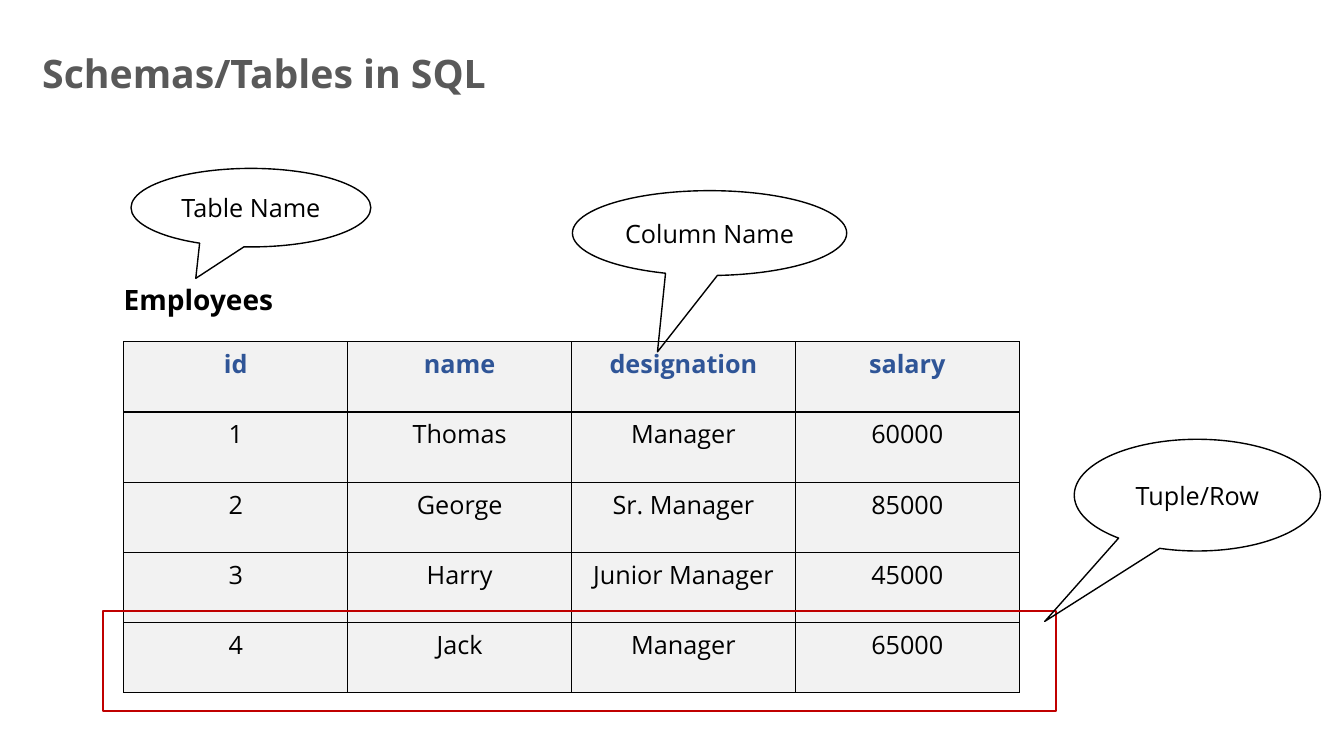
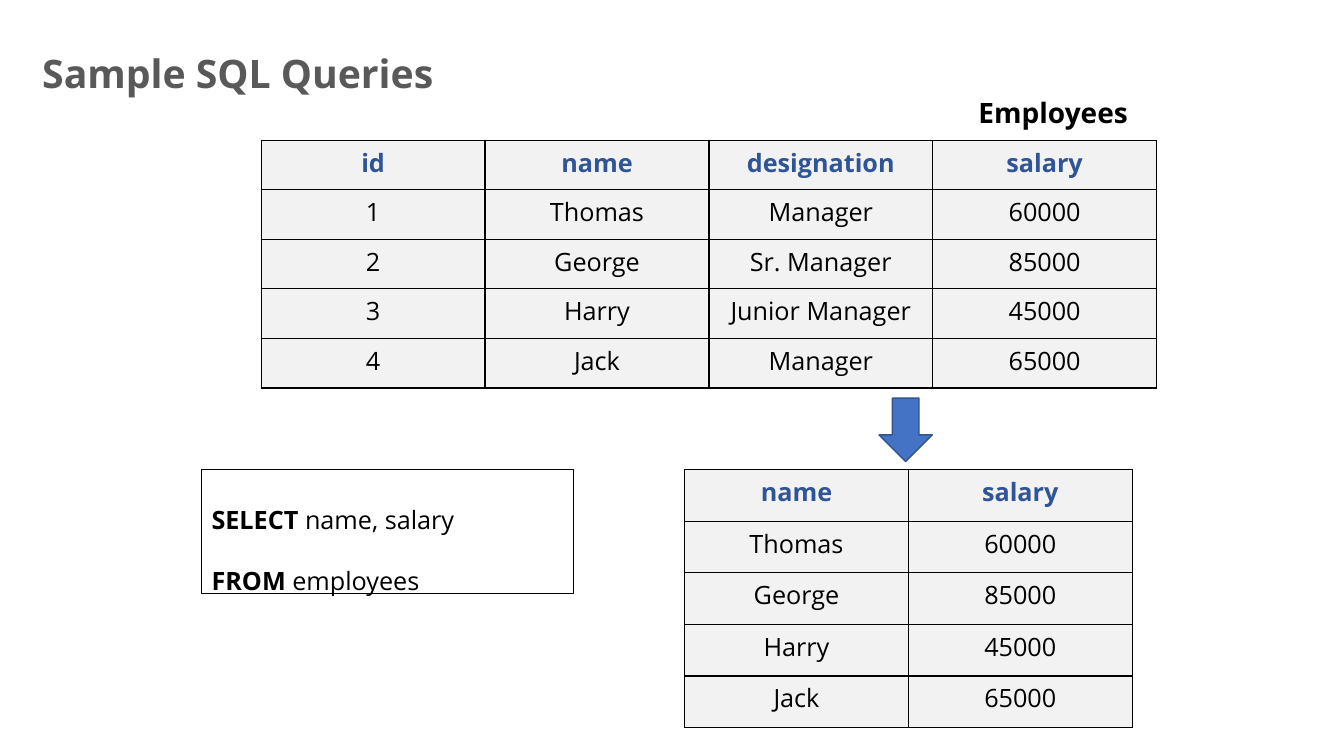
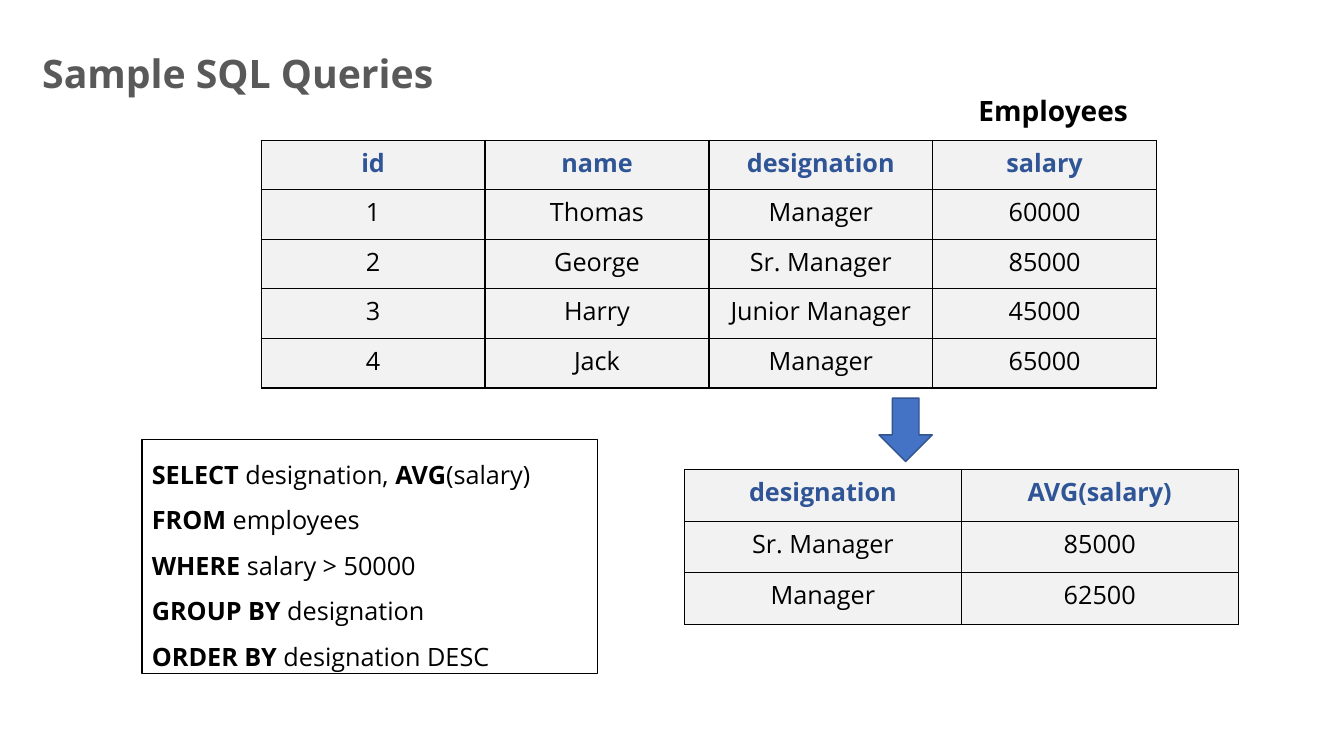
import dataclasses

import lxml.etree
import pptx
import pptx.dml.color
import pptx.enum.shapes
import pptx.enum.text
import pptx.oxml.ns
import pptx.util

SLIDE_WIDTH = pptx.util.Inches(13.333)
SLIDE_HEIGHT = pptx.util.Inches(7.5)
GRID_COLUMNS = 32
GRID_ROWS = 18
FONT = "Open Sans"
COLORS = {
    "title": "595959",
    "text": "000000",
    "header": "2F5597",
    "cell": "F2F2F2",
    "line": "000000",
    "highlight": "C00000",
    "arrow": "4472C4",
    "arrow_line": "325491",
}
EMPLOYEES = [
    ["id", "name", "designation", "salary"],
    ["1", "Thomas", "Manager", "60000"],
    ["2", "George", "Sr. Manager", "85000"],
    ["3", "Harry", "Junior Manager", "45000"],
    ["4", "Jack", "Manager", "65000"],
]
NAMES_AND_SALARIES = [[row[1], row[3]] for row in EMPLOYEES]
AVERAGE_SALARIES = [
    ["designation", "AVG(salary)"],
    ["Sr. Manager", "85000"],
    ["Manager", "62500"],
]
SELECT_QUERY = [
    ["SELECT", " name, salary"],
    ["FROM", " employees"],
]
GROUP_QUERY = [
    ["SELECT", " designation, ", "AVG", "(salary)"],
    ["FROM", " employees"],
    ["WHERE", " salary > 50000"],
    ["GROUP BY ", "designation"],
    ["ORDER BY ", "designation DESC"],
]
CENTER = pptx.enum.text.PP_ALIGN.CENTER
TOP = pptx.enum.text.MSO_ANCHOR.TOP
MIDDLE = pptx.enum.text.MSO_ANCHOR.MIDDLE
GROW = pptx.enum.text.MSO_AUTO_SIZE.SHAPE_TO_FIT_TEXT
SHAPES = pptx.enum.shapes.MSO_SHAPE


@dataclasses.dataclass
class Box:
    left: float
    top: float
    width: float
    height: float

    def lengths(self):
        column = SLIDE_WIDTH / GRID_COLUMNS
        row = SLIDE_HEIGHT / GRID_ROWS
        return (
            round(self.left * column),
            round(self.top * row),
            round(self.width * column),
            round(self.height * row),
        )


def color(name):
    return pptx.dml.color.RGBColor.from_string(COLORS[name])


def style_font(paragraph, size, color_name="text", bold=None):
    paragraph.font.name = FONT
    paragraph.font.size = pptx.util.Pt(size)
    paragraph.font.color.rgb = color(color_name)
    paragraph.font.bold = bold


def add_text(slide, box, text, size, color_name="text"):
    frame = slide.shapes.add_textbox(*box.lengths()).text_frame
    frame.word_wrap = True
    paragraph = frame.paragraphs[0]
    paragraph.text = text
    style_font(paragraph, size, color_name, True)
    return frame


def add_title(slide, text):
    frame = add_text(slide, Box(0.77, 0.94, 25.7, 1.73), text, 28, "title")
    frame.vertical_anchor = MIDDLE
    frame.paragraphs[0].line_spacing = 0.9
    frame.paragraphs[0].space_after = pptx.util.Pt(6)


def add_outline(slide, kind, box, line="line", width=1, fill=None):
    shape = slide.shapes.add_shape(kind, *box.lengths())
    shape.shadow.inherit = False
    shape.line.color.rgb = color(line)
    shape.line.width = pptx.util.Pt(width)
    if fill:
        shape.fill.solid()
        shape.fill.fore_color.rgb = color(fill)
    else:
        shape.fill.background()
    return shape


def add_callout(slide, box, text, tip):
    shape = add_outline(slide, SHAPES.OVAL_CALLOUT, box)
    for index, share in enumerate(tip):
        shape.adjustments[index] = share
    shape.text_frame.vertical_anchor = MIDDLE
    paragraph = shape.text_frame.paragraphs[0]
    paragraph.text = text
    paragraph.alignment = CENTER
    style_font(paragraph, 18)


def add_borders(cell):
    properties = cell._tc.get_or_add_tcPr()
    qualified = pptx.oxml.ns.qn
    for side in ("lnL", "lnR", "lnT", "lnB"):
        line = lxml.etree.SubElement(
            properties, qualified("a:" + side), w=str(pptx.util.Pt(1))
        )
        fill = lxml.etree.SubElement(line, qualified("a:solidFill"))
        lxml.etree.SubElement(fill, qualified("a:srgbClr"), val=COLORS["line"])


def add_grid(slide, left, top, column_width, row_height, rows):
    box = Box(left, top, column_width * len(rows[0]), row_height * len(rows))
    table = slide.shapes.add_table(len(rows), len(rows[0]), *box.lengths()).table
    table.horz_banding = False
    for row_index, row in enumerate(rows):
        header = row_index == 0
        for column_index, value in enumerate(row):
            cell = table.cell(row_index, column_index)
            add_borders(cell)
            cell.fill.solid()
            cell.fill.fore_color.rgb = color("cell")
            paragraph = cell.text_frame.paragraphs[0]
            paragraph.text = value
            paragraph.alignment = CENTER
            style_font(paragraph, 18, "header" if header else "text", header)


def add_query(slide, box, lines, spacing):
    frame = add_outline(slide, SHAPES.RECTANGLE, box).text_frame
    frame.word_wrap = True
    frame.auto_size = GROW
    frame.vertical_anchor = TOP
    for index, parts in enumerate(lines):
        paragraph = frame.add_paragraph() if index else frame.paragraphs[0]
        paragraph.alignment = pptx.enum.text.PP_ALIGN.LEFT
        paragraph.line_spacing = spacing
        style_font(paragraph, 18)
        for position, part in enumerate(parts):
            run = paragraph.add_run()
            run.text = part
            run.font.bold = position % 2 == 0


def add_slide(presentation, title):
    slide = presentation.slides.add_slide(presentation.slide_layouts[6])
    add_title(slide, title)
    return slide


def add_schema_slide(presentation):
    slide = add_slide(presentation, "Schemas/Tables in SQL")
    add_grid(slide, 2.95, 8.14, 5.33, 1.67, EMPLOYEES)
    add_text(slide, Box(2.71, 6.6, 9.29, 1.05), "Employees", 20)
    add_callout(slide, Box(3.12, 4.01, 5.71, 1.87), "Table Name", (-0.23, 0.9))
    add_callout(slide, Box(13.63, 4.54, 6.53, 2.02), "Column Name", (-0.19, 1.4))
    add_outline(
        slide, SHAPES.RECTANGLE, Box(2.45, 14.54, 22.7, 2.38), "highlight", 1.5
    )
    add_callout(slide, Box(25.58, 10.46, 5.86, 2.66), "Tuple/Row", (-0.62, 1.13))


def add_query_slide(
    presentation, label_top, query_box, query, spacing, result, result_column
):
    slide = add_slide(presentation, "Sample SQL Queries")
    add_text(slide, Box(23.06, label_top, 4.22, 1.05), "Employees", 20)
    add_grid(slide, 6.22, 3.34, 5.33, 1.18, EMPLOYEES)
    add_query(slide, query_box, query, spacing)
    add_outline(
        slide,
        SHAPES.DOWN_ARROW,
        Box(20.93, 9.48, 1.27, 1.51),
        "arrow_line",
        fill="arrow",
    )
    add_grid(slide, 16.3, 11.18, result_column, 1.23, result)


def main():
    presentation = pptx.Presentation()
    presentation.slide_width = SLIDE_WIDTH
    presentation.slide_height = SLIDE_HEIGHT
    add_schema_slide(presentation)
    add_query_slide(
        presentation,
        2.16,
        Box(4.8, 11.18, 8.86, 2.95),
        SELECT_QUERY,
        2.0,
        NAMES_AND_SALARIES,
        5.33,
    )
    add_query_slide(
        presentation,
        2.11,
        Box(3.38, 10.46, 10.85, 5.57),
        GROUP_QUERY,
        1.5,
        AVERAGE_SALARIES,
        6.59,
    )
    presentation.save("out.pptx")


if __name__ == "__main__":
    main()
